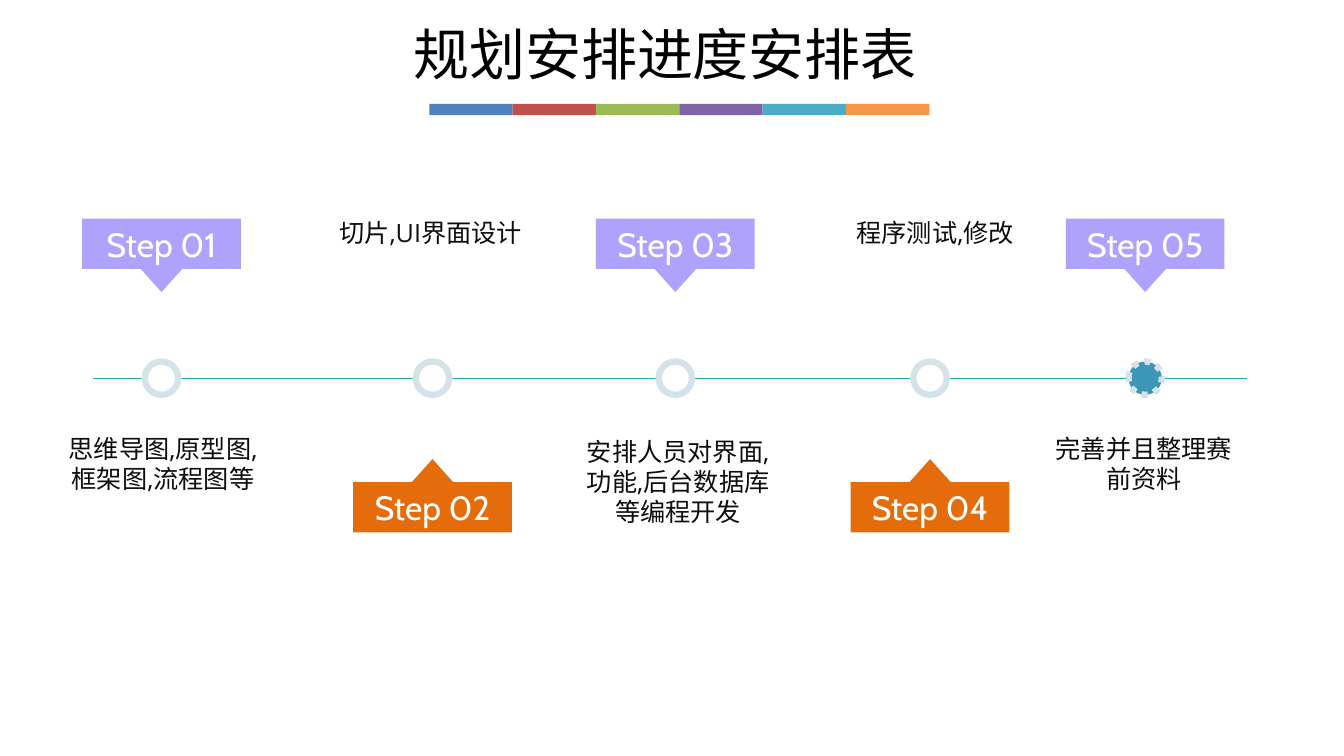
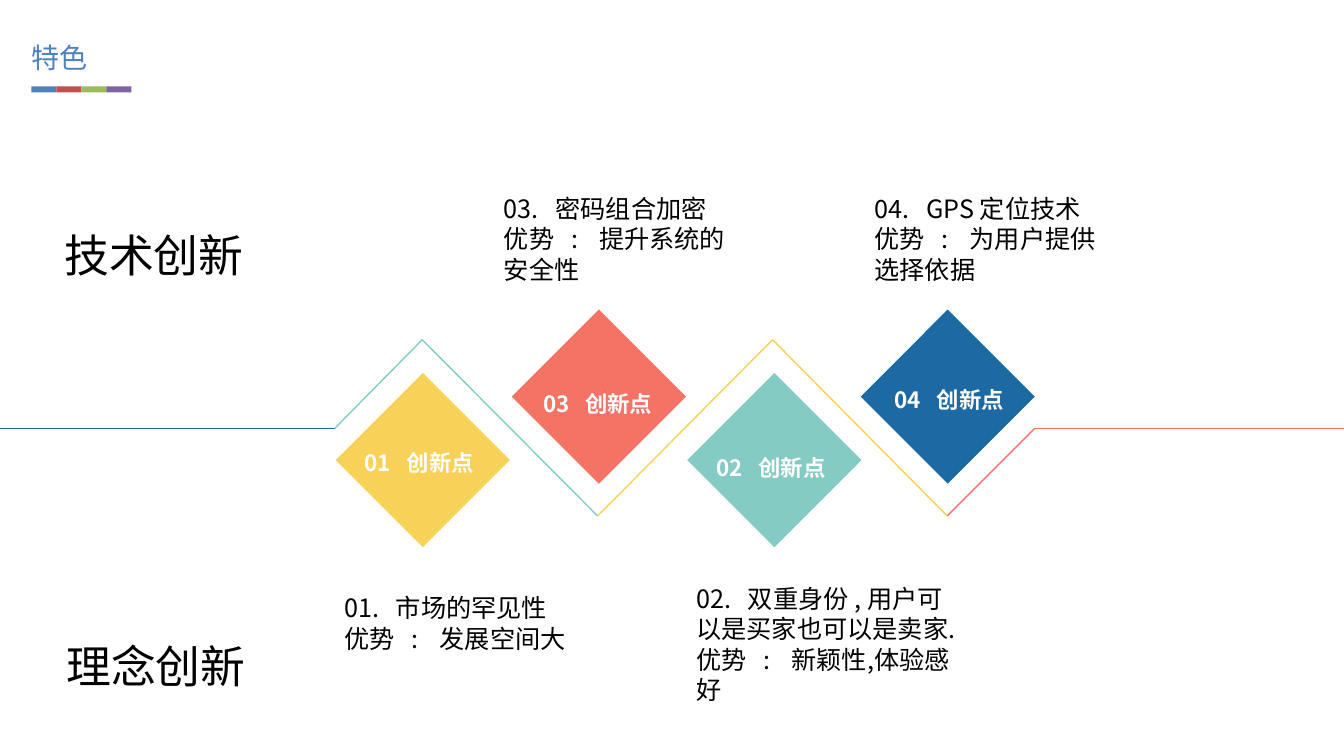
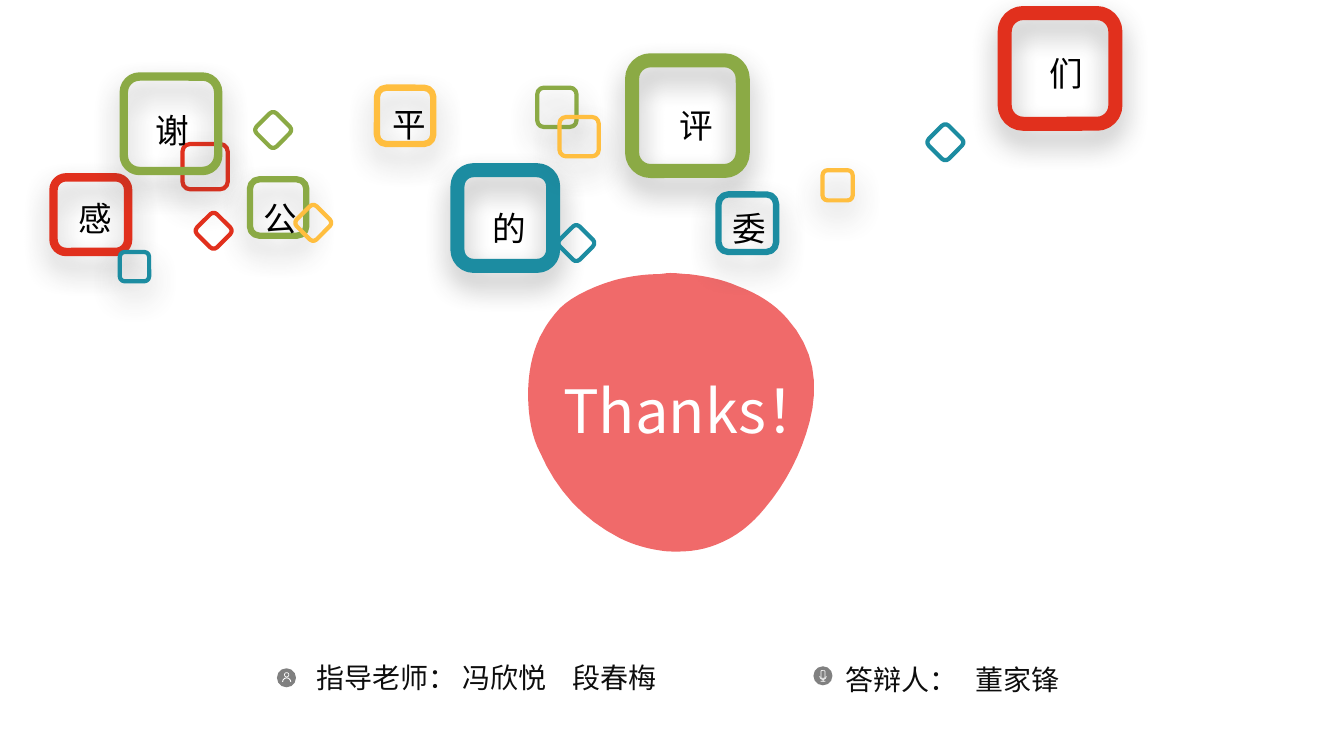
"""Build three slides: a schedule, the key features and a closing page."""
from lxml.etree import SubElement
from pptx import Presentation
from pptx.dml.color import RGBColor
from pptx.enum.dml import MSO_LINE
from pptx.enum.shapes import MSO_CONNECTOR, MSO_SHAPE
from pptx.enum.text import MSO_ANCHOR, MSO_AUTO_SIZE, PP_ALIGN
from pptx.oxml.ns import qn
from pptx.util import Cm, Pt

RECT, OVAL, ROUND = MSO_SHAPE.RECTANGLE, MSO_SHAPE.OVAL, MSO_SHAPE.ROUNDED_RECTANGLE
PEAK, GEM, ARC = MSO_SHAPE.ISOSCELES_TRIANGLE, MSO_SHAPE.DIAMOND, MSO_SHAPE.BLOCK_ARC
LEFT, MID = PP_ALIGN.LEFT, PP_ALIGN.CENTER
TOP, HALF = MSO_ANCHOR.TOP, MSO_ANCHOR.MIDDLE
FIXED, DOTS, LINE = MSO_AUTO_SIZE.NONE, MSO_LINE.ROUND_DOT, MSO_CONNECTOR.STRAIGHT

HUES = {
    "black": "000000", "ink": "0D0D0D", "white": "FFFFFF", "gray": "808080",
    "blue": "4F81BD", "brick": "C0504D", "leaf": "9BBB59", "plum": "8064A2",
    "sky": "4BACC6", "peach": "F79646", "lilac": "AFA2FC", "orange": "E46C0A",
    "track": "19B49B", "pale": "D4E2E9", "lake": "3C96B6", "navy": "1D69A3",
    "mint": "84CBC3", "coral": "F57365", "sand": "F8D158", "rose": "F06A6A",
    "gold": "FFBE3F", "red": "E1301D", "green": "8BAA45", "teal": "1C8CA1",
    "shade": "404040",
}
BAND = ("blue", "brick", "leaf", "plum", "sky", "peach")
NOTO = "Noto Sans CJK SC"

STEPS = (
    ("Step 01", 4.07, 4.11, 10.8, "思维导图,原型图,框架图,流程图等"),
    ("Step 02", 10.9, 10.85, 5.36, "切片,UI界面设计"),
    ("Step 03", 17.02, 17.09, 10.87, "安排人员对界面,功能,后台数据库等编程开发"),
    ("Step 04", 23.44, 23.57, 5.36, "程序测试,修改"),
    ("Step 05", 28.86, 28.83, 10.8, "完善并且整理赛前资料"),
)
TRAIL = ((0, 10.8), (8.43, 10.8), (10.64, 8.56), (15.06, 13), (19.47, 8.56),
         (23.87, 13), (26.07, 10.8), (33.87, 10.8))
PATHS = ("navy", "mint", "mint", "sand", "sand", "coral", "coral")
GEMS = (
    ("01", "sand", (8.46, 9.4), (8.94, 11.2)),
    ("03", "coral", (12.9, 7.8), (13.44, 9.7)),
    ("02", "mint", (17.32, 9.4), (17.81, 11.33)),
    ("04", "navy", (21.69, 7.8), (22.3, 9.6)),
)
NOTES = (
    ("01.\t市场的罕见性", "发展空间大", (8.43, 14.81, 6.3, 1.83)),
    ("03.\t密码组合加密", "提升系统的安全性", (12.45, 4.75, 6.15, 2.57)),
    ("02.\t双重身份 , 用户可以是买家也可以是卖家.", "新颖性,体验感好",
     (17.3, 14.58, 7.32, 2.59)),
    ("04.\tGPS 定位技术", "为用户提供选择依据", (21.79, 4.75, 6.32, 2.57)),
)
BLOB = (
    (19.84, 8.03), (19.51, 7.65), (19.08, 7.39), (18.59, 7.21),
    (18.21, 7.04), (17.78, 6.96), (17.37, 6.91),
    (17.22, 6.91), (17.07, 6.88), (16.89, 6.88),
    (16.79, 6.88), (16.66, 6.91), (16.56, 6.91),
    (16.26, 6.91), (15.88, 6.96), (15.49, 7.06),
    (14.81, 7.26), (14.25, 7.57), (14.02, 7.87),
    (13.89, 8.03), (13.77, 8.18), (13.67, 8.38),
    (13.64, 8.43), (13.61, 8.48), (13.59, 8.53),
    (13.41, 8.92), (13.31, 9.4), (13.31, 9.93),
    (13.31, 10.52), (13.41, 11.02), (13.61, 11.4),
    (14.02, 12.34), (14.68, 13.08), (15.62, 13.56),
    (15.98, 13.74), (16.36, 13.84), (16.76, 13.89),
    (17.2, 13.92), (17.65, 13.89), (18.06, 13.72),
    (18.54, 13.54), (18.95, 13.21), (19.28, 12.8),
    (19.81, 12.17), (20.19, 11.43), (20.4, 10.64),
    (20.65, 9.68), (20.52, 8.79), (19.84, 8.03),
)
TILES = (
    (1.35, 4.47, 1.88, "red", 6), (4.6, 3.63, 1.14, "red", 3),
    (15.93, 1.52, 2.79, "green", 10), (11.53, 4.29, 2.41, "teal", 10),
    (3.12, 1.93, 2.38, "green", 6), (25.32, 0.33, 2.79, "red", 10),
    (20.73, 4.29, 0.76, "gold", 3), (6.3, 4.52, 1.42, "green", 4.5),
    (9.5, 2.21, 1.42, "gold", 4.5), (13.54, 2.21, 0.99, "green", 3),
    (14.1, 2.95, 0.99, "gold", 3), (18.11, 4.9, 1.45, "teal", 4.5),
    (3.02, 6.35, 0.74, "teal", 3),
)
TILTS = ((7.54, 5.26, "gold"), (5.03, 5.46, "red"), (6.53, 2.92, "green"),
         (14.17, 5.77, "teal"), (23.47, 3.23, "teal"))
SIGNS = (("感", 1.73, 4.85), ("谢", 3.66, 2.64), ("公", 6.38, 4.85), ("平", 9.63, 2.49),
         ("的", 12.17, 5.11), ("评", 16.87, 2.51), ("委", 18.21, 5.11), ("们", 26.19, 1.22))


def hue(name):
    """Return the named colour."""
    return RGBColor.from_string(HUES[name])


def write(shape, text, size, tint, font=NOTO, align=LEFT, anchor=TOP,
          bold=False, tabs=(), gap=1.0):
    """Set text; tabs holds one tuple of stops for each paragraph."""
    frame = shape.text_frame
    frame.text = text
    frame.word_wrap = True
    frame.auto_size = FIXED
    frame.vertical_anchor = anchor
    for i, para in enumerate(frame.paragraphs):
        para.alignment = align
        para.line_spacing = gap
        if tabs:
            stops = SubElement(para._p.get_or_add_pPr(), qn("a:tabLst"))
            for stop in tabs[i]:
                SubElement(stops, qn("a:tab"), pos=str(Cm(stop)), algn="l")
        for run in para.runs:
            run.font.size = Pt(size)
            run.font.bold = bold
            run.font.name = font
            run.font.color.rgb = hue(tint)
            SubElement(run._r.get_or_add_rPr(), qn("a:ea"), typeface=NOTO)


def place(shape, box):
    """Move and size a shape."""
    shape.left, shape.top, shape.width, shape.height = map(Cm, box)


def head(slide, text, box, size, tint, **style):
    """Format the title and bring it to the front."""
    title = slide.shapes.title
    place(title, box)
    write(title, text, size, tint, **style)
    title.element.getparent().append(title.element)
    return title


def label(slide, text, box, size, tint, **style):
    """Add a text box."""
    write(slide.shapes.add_textbox(*map(Cm, box)), text, size, tint, **style)


def paint(shape, fill=None, edge=None, width=1):
    """Set fill and outline, without a shadow."""
    shape.shadow.inherit = False
    if fill:
        shape.fill.solid()
        shape.fill.fore_color.rgb = hue(fill)
    else:
        shape.fill.background()
    if edge:
        shape.line.color.rgb = hue(edge)
        shape.line.width = Pt(width)
    else:
        shape.line.fill.background()


def block(slide, kind, box, fill=None, edge=None, width=1, turn=0):
    """Add a preset shape."""
    shape = slide.shapes.add_shape(kind, *map(Cm, box))
    paint(shape, fill, edge, width)
    shape.rotation = turn
    return shape


def shade(shape):
    """Give a shape a soft shadow below."""
    drop = SubElement(shape._element.spPr.find(qn("a:effectLst")), qn("a:outerShdw"),
                      blurRad=str(Pt(20)), dist=str(Pt(10)), dir="5400000",
                      algn="t", rotWithShape="0")
    tone = SubElement(drop, qn("a:srgbClr"), val=HUES["shade"])
    SubElement(tone, qn("a:alpha"), val="40000")


def rule(slide, start, end, tint, width):
    """Add a straight line."""
    line = slide.shapes.add_connector(LINE, *map(Cm, start + end))
    line.line.color.rgb = hue(tint)
    line.line.width = Pt(width)
    SubElement(line._element.spPr, qn("a:effectLst"))


def band(slide, left, top, width, height, count):
    """Add the row of coloured bars under a title."""
    for i, tint in enumerate(BAND[:count]):
        block(slide, RECT, (left + i * width, top, width, height), tint)


def curve(slide, knots, fill, cuts=8):
    """Add a closed outline through cubic curves."""
    spots = []
    for i in range(0, len(knots) - 1, 3):
        for k in range(cuts):
            t = k / cuts
            mix = ((1 - t) ** 3, 3 * t * (1 - t) ** 2, 3 * t * t * (1 - t), t ** 3)
            spots.append(tuple(Cm(sum(m * knot[axis] for m, knot in zip(mix, knots[i:i + 4])))
                               for axis in (0, 1)))
    pen = slide.shapes.build_freeform(*spots[0])
    pen.add_line_segments(spots[1:])
    paint(pen.convert_to_shape(), fill)


def bow(slide, box, turn=0):
    """Add a thin white half ring."""
    block(slide, ARC, box, "white", turn=turn).adjustments[2] = 0.1


def step(slide, name, mid, high):
    """Add a step flag above or below the track."""
    tint = "lilac" if high else "orange"
    flag = block(slide, RECT, (mid - 2, 5.51 if high else 12.15, 4, 1.27), tint)
    write(flag, name, 24, "white", font="Cabin", align=MID, anchor=HALF)
    block(slide, PEAK, (mid - 0.52, 6.78 if high else 11.57, 1.04, 0.58), tint,
          turn=180 if high else 0)


def plan(slide):
    """Draw the schedule."""
    rule(slide, (2.34, 9.53), (31.42, 9.53), "track", 0.75)
    for i, (name, mid, axis, top, note) in enumerate(STEPS):
        step(slide, name, mid, i % 2 == 0)
        label(slide, note, (axis - 2.69, top, 5.38, 2.57), 18, "ink",
              font="Open Sans", align=MID)
        last = i == len(STEPS) - 1
        dot = block(slide, OVAL, (mid - 0.42, 9.11, 0.84, 0.84),
                    "lake" if last else "white", "pale", 4.5)
        if last:
            dot.line.dash_style = DOTS
    head(slide, "规划安排进度安排表", (8.53, 0.56, 16.46, 2.34), 40, "black",
         font="Calibri", align=MID, gap=0.9)
    band(slide, 10.82, 2.62, 2.1, 0.28, 6)


def traits(slide):
    """Draw the key features."""
    frame = head(slide, "特色", (0.79, 1.02, 7.72, 0.86), 20, "blue", anchor=HALF).text_frame
    frame.margin_left = frame.margin_right = frame.margin_top = frame.margin_bottom = 0
    band(slide, 0.79, 2.18, 0.63, 0.15, 4)
    for start, end, tint in zip(TRAIL, TRAIL[1:], PATHS):
        rule(slide, start, end, tint, 1)
    for name, tint, spot, mark in GEMS:
        block(slide, GEM, spot + (4.39, 4.39), tint)
        label(slide, name + "\t创新点", mark + (3.5, 0.94), 16, "white",
              bold=True, tabs=((1.06,),))
    for topic, gain, box in NOTES:
        label(slide, f"{topic}\n优势\t:\t{gain}", box, 18, "black",
              tabs=((1.3,), (1.7, 2.4)))
    label(slide, "技术创新", (1.37, 5.61, 5.49, 1.63), 32, "black")
    label(slide, "理念创新", (1.42, 15.98, 5.49, 1.63), 32, "black")


def thanks(slide):
    """Draw the closing page."""
    curve(slide, BLOB, "rose")
    head(slide, "Thanks！", (13.94, 9.27, 7.49, 2.08), 42.6, "white", anchor=HALF)
    for left, top, size, tint, width in TILES:
        shade(block(slide, ROUND, (left, top, size, size), edge=tint, width=width))
    for left, top, tint in TILTS:
        block(slide, ROUND, (left, top, 0.71, 0.71), edge=tint, width=3, turn=315)
    for sign, left, top in SIGNS:
        label(slide, sign, (left, top, 1.6, 1.27), 24, "black", font="Calibri")
    for left, top in ((6.98, 16.84), (20.5, 16.79)):
        block(slide, OVAL, (left, top, 0.48, 0.48), "gray")
    block(slide, OVAL, (7.17, 16.95, 0.11, 0.11), edge="white", width=0.5)
    bow(slide, (7.11, 17.07, 0.23, 0.23))
    block(slide, ROUND, (20.69, 16.9, 0.1, 0.19), edge="white", width=0.5)
    bow(slide, (20.65, 16.95, 0.18, 0.18), 180)
    block(slide, RECT, (20.73, 17.12, 0.03, 0.05), "white")
    block(slide, RECT, (20.68, 17.16, 0.12, 0.02), "white")
    label(slide, "指导老师： 冯欣悦\t段春梅", (7.72, 16.51, 9.4, 1.12), 20, "ink",
          tabs=((6.45,),))
    label(slide, "答辩人：\t董家锋", (21.06, 16.56, 6.12, 1.12), 20, "ink",
          tabs=((3.28,),))


def main():
    """Build and save the deck."""
    deck = Presentation()
    deck.slide_width, deck.slide_height = Cm(33.87), Cm(19.05)
    for draw in (plan, traits, thanks):
        draw(deck.slides.add_slide(deck.slide_layouts[5]))
    deck.save("out.pptx")


if __name__ == "__main__":
    main()
